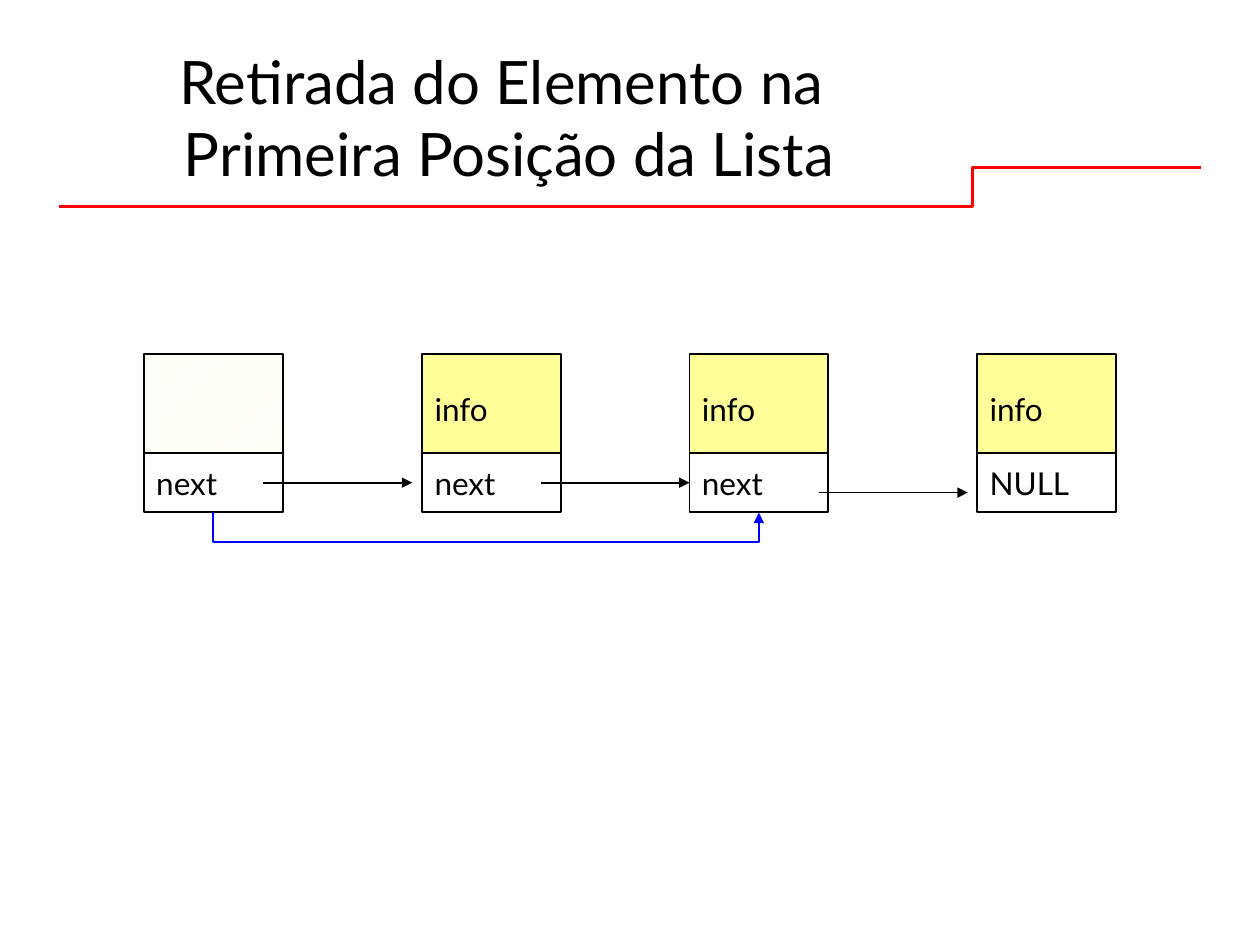
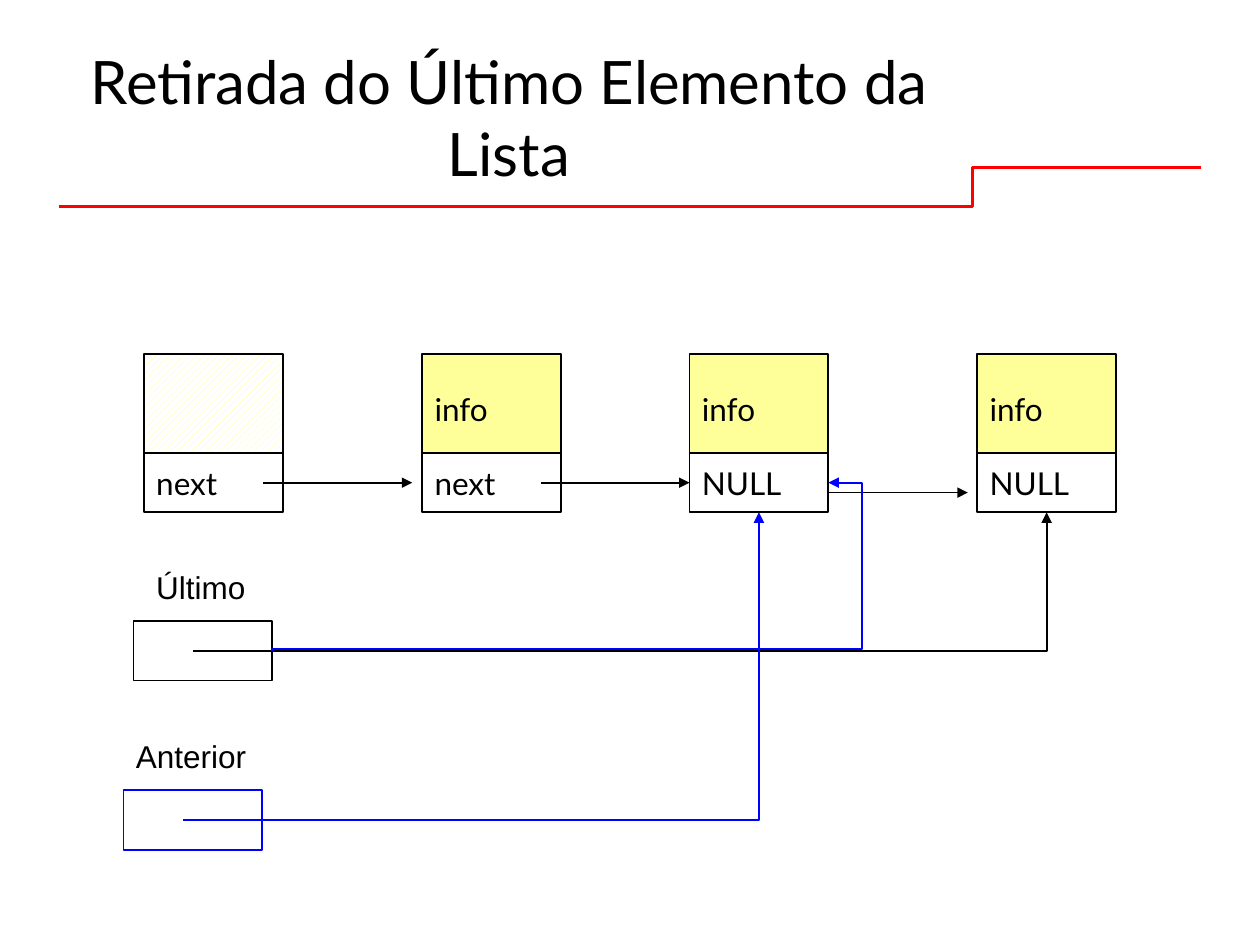
from lxml.etree import SubElement
from pptx import Presentation
from pptx.dml.color import RGBColor
from pptx.enum.dml import MSO_PATTERN
from pptx.enum.shapes import MSO_CONNECTOR, MSO_SHAPE
from pptx.enum.text import MSO_ANCHOR, PP_ALIGN
from pptx.oxml.ns import qn
from pptx.util import Cm, Pt

SLIDES = [
    {"title": "Retirada do Elemento na \vPrimeira Posição da Lista",
     "links": ["next", "next", "next", "NULL"], "late": [], "refs": [],
     "bypass": True},
    {"title": "Retirada do Último Elemento da Lista",
     "links": ["next", "next", "NULL", "NULL"], "late": [2],
     "refs": [("Último", 2.69, 12.52, 2.9, 2.5, "black", 3),
              ("Anterior", 2.49, 15.93, 2.49, 3.0, "blue", 2)],
     "bypass": False},
]
NODES = [2.9, 8.51, 13.9, 19.7]
ARROWS = [(5.31, 9.73), (10.9, 9.73), (16.51, 9.93)]
REACH, STUB = 3.0, 1.6
WIDE, TALL, LOW = 2.8, 2.21, 1.2
TOP, MID = 7.13, 9.13
BASE = MID + LOW


class Theme:
    black = RGBColor(0, 0, 0)
    white = RGBColor(255, 255, 255)
    red = RGBColor(255, 0, 0)
    blue = RGBColor(0, 0, 255)
    yellow = RGBColor(255, 255, 153)
    thin, thick = Pt(1), Pt(1.5)
    title = {"name": "Lato", "size": Pt(34.2)}
    cell = {"name": "Lato", "size": Pt(18)}
    label = {"name": "Arial", "size": Pt(18)}
    inset = {"margin_left": Cm(0.25), "margin_right": Cm(0.25),
             "margin_top": Cm(0.13), "margin_bottom": Cm(0.13)}


def apply(item, form):
    for key, val in form.items():
        setattr(item, key, val)


def write(shape, text, font, align=PP_ALIGN.LEFT, wrap=False,
          anchor=MSO_ANCHOR.MIDDLE):
    frame = shape.text_frame
    frame.text = text
    apply(frame, {**Theme.inset, "word_wrap": wrap, "vertical_anchor": anchor})
    para = frame.paragraphs[0]
    para.alignment = align
    for run in para.runs:
        apply(run.font, font)
        run.font.color.rgb = Theme.black


def box(slide, left, top, tall, fill=Theme.white, text="", ink=Theme.black):
    shape = slide.shapes.add_shape(
        MSO_SHAPE.RECTANGLE, Cm(left), Cm(top), Cm(WIDE), Cm(tall))
    shape.shadow.inherit = False
    if fill is None:
        shape.fill.patterned()
        shape.fill.pattern = MSO_PATTERN.WIDE_UPWARD_DIAGONAL
        shape.fill.fore_color.rgb = Theme.yellow
        shape.fill.back_color.rgb = Theme.white
    else:
        shape.fill.solid()
        shape.fill.fore_color.rgb = fill
    shape.line.color.rgb = ink
    shape.line.width = Theme.thin
    if text:
        write(shape, text, Theme.cell)


def line(slide, start, end, ink=Theme.black, head=True, kind="line",
         bends=(), turn=False, flip=False, width=Theme.thin):
    if turn:
        wide = max(abs(end[1] - start[1]), 0.01)
        tall = abs(end[0] - start[0])
        left = (start[0] + end[0] - wide) / 2
        top = (start[1] + end[1] - tall) / 2
        start, end = (left, top), (left + wide, top + tall)
    link = slide.shapes.add_connector(
        MSO_CONNECTOR.STRAIGHT, *(Cm(val) for val in (*start, *end)))
    link.line.color.rgb = ink
    link.line.width = width
    props = link._element.spPr
    if turn:
        props.find(qn("a:xfrm")).set("rot", "16200000")
    if flip:
        props.find(qn("a:xfrm")).set("flipH", "1")
    geom = props.find(qn("a:prstGeom"))
    geom.set("prst", kind)
    for num, bend in enumerate(bends, 1):
        SubElement(geom.get_or_add_avLst(), qn("a:gd"), name=f"adj{num}",
                   fmla=f"val {round(bend * 100000)}")
    if head:
        SubElement(props.find(qn("a:ln")), qn("a:tailEnd"), type="triangle")
    SubElement(props, qn("a:effectLst"))
    return link


def chain(slide, page):
    for num, (left, text) in enumerate(zip(NODES, page["links"])):
        box(slide, left, TOP, TALL, Theme.yellow if num else None,
            "info" if num else "")
        if num not in page["late"]:
            box(slide, left, MID, LOW, text=text)
    for left, top in ARROWS:
        line(slide, (left, top), (left + REACH, top))


def point(slide, text, left, top, edge, span, tint, goal):
    ink = getattr(Theme, tint)
    box(slide, left, top, LOW, ink=ink)
    label = slide.shapes.add_textbox(
        Cm(edge), Cm(top - 1.2), Cm(span), Cm(1.02))
    write(label, text, Theme.label, anchor=MSO_ANCHOR.TOP)
    start = (left + WIDE, top + LOW / 2)
    line(slide, start, (NODES[goal] + WIDE / 2, BASE), ink,
         kind="bentConnector2")
    line(slide, start, (start[0] - STUB, start[1]), ink, head=False)
    return start


def main():
    deck = Presentation()
    apply(deck, {"slide_width": Cm(25.4), "slide_height": Cm(19.05)})
    plan = deck.slide_layouts[5]
    for num, page in enumerate(SLIDES):
        slide = deck.slides.add_slide(plan)
        title = slide.shapes.title
        apply(title, {"left": Cm(1.27), "top": Cm(0.76),
                      "width": Cm(17.98), "height": Cm(3.18)})
        write(title, page["title"], Theme.title, PP_ALIGN.CENTER, True)
        if num == 0:
            step = line(slide, (1.19, 4.17), (24.21, 3.38), Theme.red, False,
                        "bentConnector3", [0.8], width=Theme.thick)
            plan.shapes._spTree.append(step._element)
        chain(slide, page)
        starts = [point(slide, *ref) for ref in page["refs"]]
        if page["bypass"]:
            line(slide, (NODES[0] + WIDE / 2, BASE),
                 (NODES[2] + WIDE / 2, BASE), Theme.blue,
                 kind="bentConnector3", bends=[60], turn=True, flip=True)
        for start in starts[:1]:
            line(slide, start, (NODES[2] + WIDE, MID + LOW / 2), Theme.blue,
                 kind="bentConnector4", bends=[0.01, 1.06], turn=True)
        for late in page["late"]:
            box(slide, NODES[late], MID, LOW, text=page["links"][late])
    deck.save("out.pptx")


if __name__ == "__main__":
    main()
